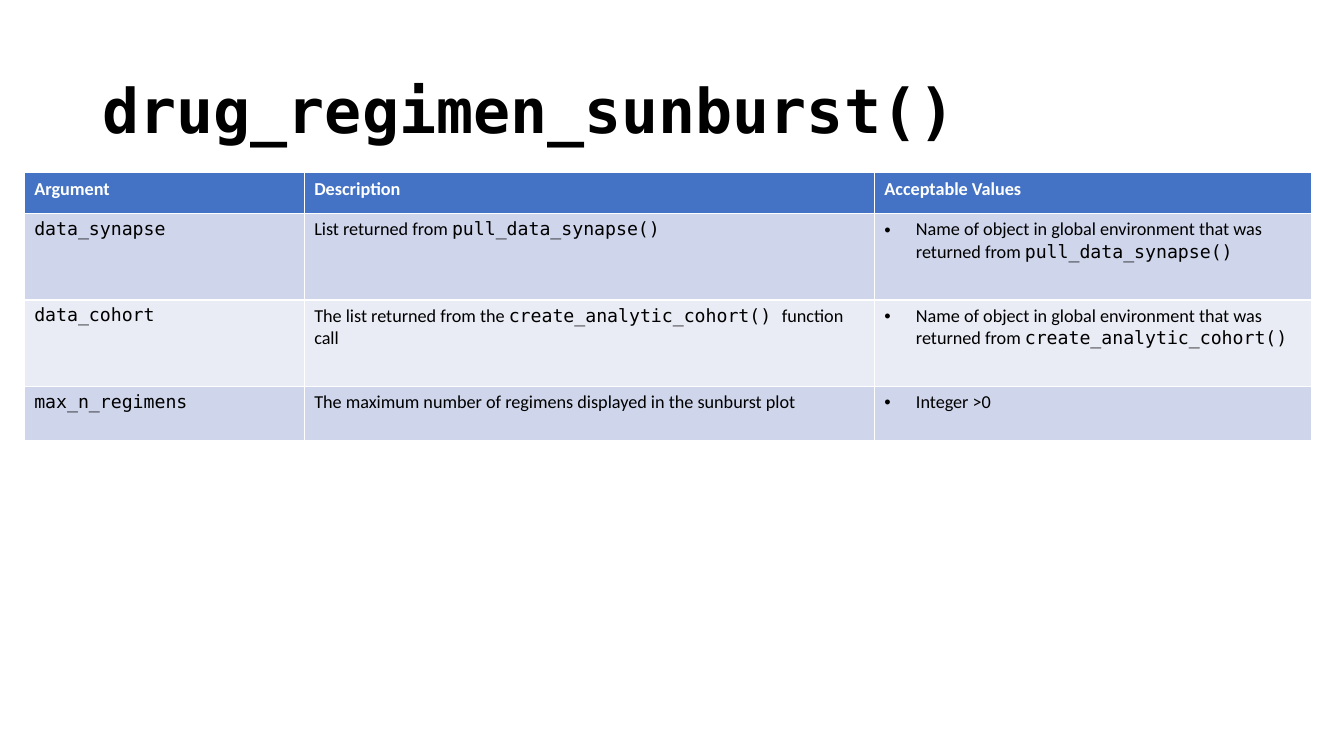
from lxml.etree import SubElement
from pptx import Presentation
from pptx.dml.color import RGBColor
from pptx.enum.text import MSO_ANCHOR, MSO_AUTO_SIZE, PP_ALIGN
from pptx.oxml.ns import qn
from pptx.util import Pt

BLACK = RGBColor(0x00, 0x00, 0x00)
WHITE = RGBColor(0xFF, 0xFF, 0xFF)
HEADER_BLUE = RGBColor(0x44, 0x72, 0xC4)
BAND_DARK = RGBColor(0xCF, 0xD5, 0xEA)
BAND_LIGHT = RGBColor(0xE9, 0xEB, 0xF5)
BODY_FONT = "Calibri"
CODE_FONT = "DejaVu Sans Mono"
BULLET_INDENT = Pt(22.5)

# Backticks enclose code
ROWS = [
    ("Argument", "Description", "Acceptable Values"),
    ("`data_synapse`",
     "List returned from `pull_data_synapse()`",
     "Name of object in global environment that was returned from `pull_data_synapse()`"),
    ("`data_cohort`",
     "The list returned from the `create_analytic_cohort() `function call",
     "Name of object in global environment that was returned from `create_analytic_cohort()`"),
    ("`max_n_regimens`",
     "The maximum number of regimens displayed in the sunburst plot",
     "Integer >0"),
]
COLUMN_WIDTHS = [200, 407.3, 312.3]
ROW_HEIGHTS = [29.2, 61.7, 61.7, 38.9]


def format_font(font, **values):
    font.color.rgb = values.pop("color")
    for name, value in values.items():
        setattr(font, name, value)


def add_bullet(paragraph):
    properties = paragraph._p.get_or_add_pPr()
    properties.set("marL", str(BULLET_INDENT))
    properties.set("indent", str(-BULLET_INDENT))
    SubElement(properties, qn("a:buFont")).set("typeface", "Arial")
    SubElement(properties, qn("a:buChar")).set("char", "•")


presentation = Presentation()
presentation.slide_width, presentation.slide_height = Pt(960), Pt(540)
slide = presentation.slides.add_slide(presentation.slide_layouts[5])

# Function name as title
title = slide.shapes.title
title.left, title.top, title.width, title.height = Pt(66), Pt(28.75), Pt(828), Pt(104.4)
title_frame = title.text_frame
title_frame.auto_size = MSO_AUTO_SIZE.NONE
title_frame.vertical_anchor = MSO_ANCHOR.MIDDLE
heading = title_frame.paragraphs[0]
heading.alignment = PP_ALIGN.LEFT
heading.line_spacing = 0.9
function_name = heading.add_run()
function_name.text = "drug_regimen_sunburst()"
format_font(function_name.font, name=CODE_FONT, size=Pt(44), bold=True, color=BLACK)

# Argument table
arguments = slide.shapes.add_table(
    len(ROWS), len(COLUMN_WIDTHS), Pt(17.3), Pt(123.4),
    Pt(sum(COLUMN_WIDTHS)), Pt(sum(ROW_HEIGHTS))).table
for column, width in zip(arguments.columns, COLUMN_WIDTHS):
    column.width = Pt(width)
for row, height in zip(arguments.rows, ROW_HEIGHTS):
    row.height = Pt(height)

for row_index, texts in enumerate(ROWS):
    is_header = row_index == 0
    band = BAND_DARK if row_index % 2 else BAND_LIGHT
    for column_index, text in enumerate(texts):
        cell = arguments.cell(row_index, column_index)
        cell.fill.solid()
        cell.fill.fore_color.rgb = HEADER_BLUE if is_header else band
        paragraph = cell.text_frame.paragraphs[0]
        if column_index == 2 and not is_header:
            add_bullet(paragraph)
        for part_index, part in enumerate(text.split("`")):
            if part:
                run = paragraph.add_run()
                run.text = part
                format_font(run.font, name=CODE_FONT if part_index % 2 else BODY_FONT,
                            size=Pt(13), bold=is_header,
                            color=WHITE if is_header else BLACK)

presentation.save("out.pptx")
